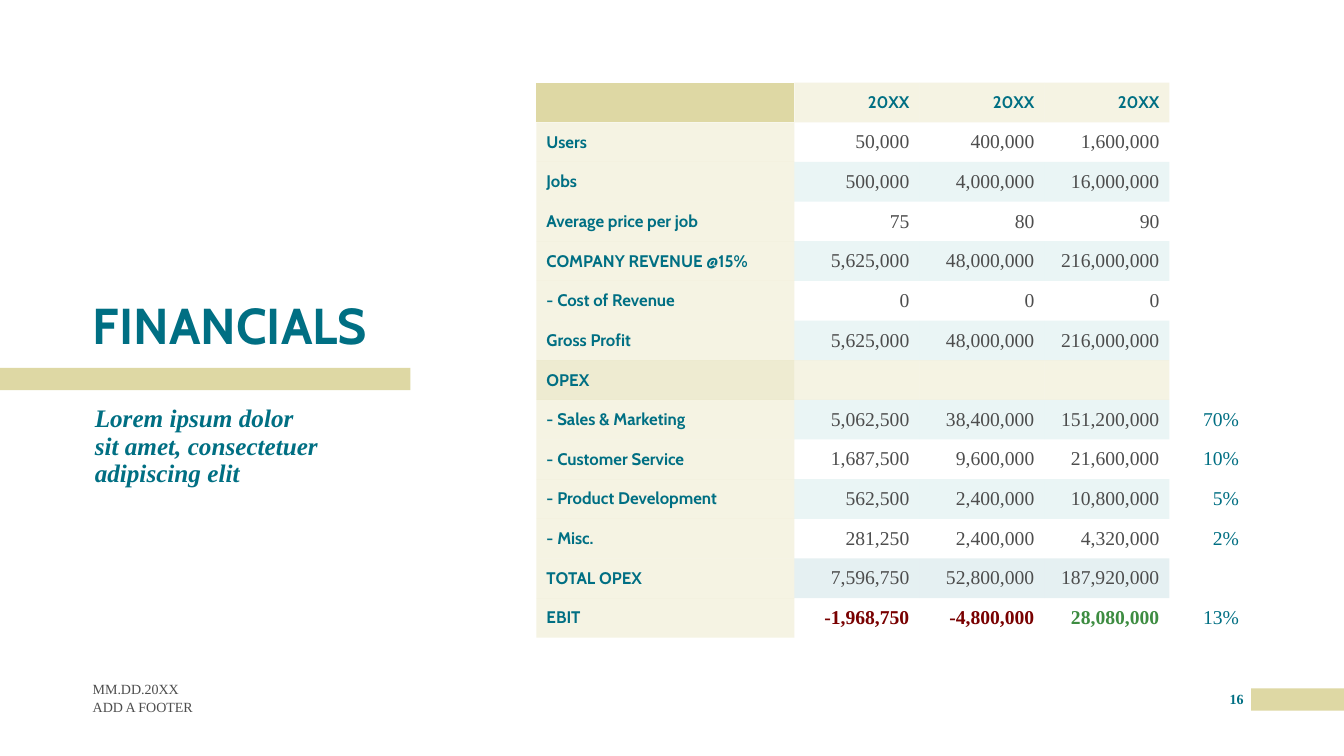
from lxml import etree
from pptx import Presentation
from pptx.dml.color import RGBColor
from pptx.enum import shapes, text
from pptx.oxml.ns import qn
from pptx.util import Inches, Pt

HEAD, BODY = "Cabin", "Times New Roman"
TEAL, SAND, GREY = "006F83", "DED8A4", "4D4D4D"
AQUA, RED, GREEN = "32A1A6", "790000", "3D8C41"
NO_GRID = "{2D5ABB26-0587-4C30-8999-92F81FD0307C}"
LEFT, CENTER, RIGHT = text.PP_ALIGN.LEFT, text.PP_ALIGN.CENTER, text.PP_ALIGN.RIGHT
TOP, MIDDLE, BOTTOM = text.MSO_ANCHOR.TOP, text.MSO_ANCHOR.MIDDLE, text.MSO_ANCHOR.BOTTOM

COLUMNS = [2.56, 1.24, 1.24, 1.24, 0.79]
ROWS = [
    ["", "20XX", "20XX", "20XX", ""],
    ["Users", "50,000", "400,000", "1,600,000", ""],
    ["Jobs", "500,000", "4,000,000", "16,000,000", ""],
    ["Average price per job", "75", "80", "90", ""],
    ["COMPANY REVENUE @15%", "5,625,000", "48,000,000", "216,000,000", ""],
    ["- Cost of Revenue", "0", "0", "0", ""],
    ["Gross Profit", "5,625,000", "48,000,000", "216,000,000", ""],
    ["OPEX", "", "", "", ""],
    ["- Sales & Marketing", "5,062,500", "38,400,000", "151,200,000", "70%"],
    ["- Customer Service", "1,687,500", "9,600,000", "21,600,000", "10%"],
    ["- Product Development", "562,500", "2,400,000", "10,800,000", "5%"],
    ["- Misc.", "281,250", "2,400,000", "4,320,000", "2%"],
    ["TOTAL OPEX", "7,596,750", "52,800,000", "187,920,000", ""],
    ["EBIT", "-1,968,750", "-4,800,000", "28,080,000", "13%"],
]
OPEX, TOTAL, EBIT = 7, 12, 13


def rgb(color):
    return RGBColor.from_string(color)


def add_run(p, words, size, font, color, bold=False, italic=False):
    r = p.add_run()
    r.text = words
    r.font.size = Pt(size)
    r.font.name = font
    r.font.color.rgb = rgb(color)
    r.font.bold = bold
    r.font.italic = italic


def set_frame(tf, anchor):
    tf.margin_left = tf.margin_top = tf.margin_right = tf.margin_bottom = 0
    tf.word_wrap = True
    tf.auto_size = text.MSO_AUTO_SIZE.NONE
    tf.vertical_anchor = anchor


def add_text(s, box, words, size, color, anchor=TOP, align=LEFT, **style):
    tf = s.shapes.add_textbox(*map(Inches, box)).text_frame
    set_frame(tf, anchor)
    p = tf.paragraphs[0]
    p.alignment = align
    add_run(p, words, size, BODY, color, **style)
    return p


def add_bar(s, box):
    sp = s.shapes.add_shape(shapes.MSO_SHAPE.RECTANGLE, *map(Inches, box))
    sp.shadow.inherit = False
    sp.fill.solid()
    sp.fill.fore_color.rgb = rgb(SAND)
    sp.line.fill.background()


def add_heading(s, x, y, w):
    title = s.shapes.title
    title.left, title.top = Inches(x), Inches(y)
    title.width, title.height = Inches(w), Inches(1.45)
    set_frame(title.text_frame, BOTTOM)
    p = title.text_frame.paragraphs[0]
    p.alignment = LEFT
    p.line_spacing = 0.9
    add_run(p, "FINANCIALS", 36, HEAD, TEAL, bold=True)
    add_bar(s, (0, y + 1.57, 4.07, 0.22))
    p = add_text(s, (x + 0.02, y + 1.95, 2.23, 1.9),
                 "Lorem ipsum dolor sit amet, consectetuer adipiscing elit",
                 18, TEAL, bold=True, italic=True)
    p.line_spacing = 0.9
    p.space_before = Pt(10)


def cell_fill(row, col):
    if col == 4:
        return None
    if col == 0:
        return SAND, {0: 100, OPEX: 50}.get(row, 30)
    if row in (0, OPEX):
        return SAND, 30
    if row == TOTAL:
        return TEAL, 10
    return (AQUA, 10) if row % 2 == 0 else None


def cell_style(row, col, words):
    if row == 0 or col == 0:
        return 12, HEAD, TEAL, True
    if col == 4:
        return 14, BODY, TEAL, False
    if row == EBIT:
        return 14, BODY, RED if words.startswith("-") else GREEN, True
    return 14, BODY, GREY, False


def paint_cell(cell, paint):
    if paint is None:
        cell.fill.background()
        return
    color, opacity = paint
    cell.fill.solid()
    cell.fill.fore_color.rgb = rgb(color)
    if opacity < 100:
        tint = cell._tc.tcPr.find(".//" + qn("a:srgbClr"))
        etree.SubElement(tint, qn("a:alpha")).set("val", str(opacity * 1000))


def add_financials(s, x, y, w, h):
    frame = s.shapes.add_table(len(ROWS), len(COLUMNS), *map(Inches, (x, y, w, h)))
    table = frame.table
    table.first_row = table.horz_banding = False
    table._tbl.tblPr.find(qn("a:tableStyleId")).text = NO_GRID
    for column, width in zip(table.columns, COLUMNS):
        column.width = Inches(width)
    for row, values in enumerate(ROWS):
        table.rows[row].height = Inches(h / len(ROWS))
        for col, words in enumerate(values):
            cell = table.cell(row, col)
            cell.vertical_anchor = MIDDLE
            cell.margin_top = cell.margin_bottom = Inches(0.03)
            paint_cell(cell, cell_fill(row, col))
            if words:
                p = cell.text_frame.paragraphs[0]
                p.alignment = RIGHT if col else LEFT
                add_run(p, words, *cell_style(row, col, words))


def add_footer(s, x, y):
    add_text(s, (x, y, 3, 0.25), "MM.DD.20XX", 10, GREY, anchor=BOTTOM)
    add_text(s, (x, y + 0.26, 3, 0.25), "ADD A FOOTER", 10, GREY)
    add_text(s, (12.12, y + 0.18, 0.29, 0.25), "16", 10, TEAL, align=CENTER, bold=True)
    add_bar(s, (12.41, y + 0.16, 0.92, 0.22))


def main():
    prs = Presentation()
    prs.slide_width, prs.slide_height = Inches(13.33), Inches(7.5)
    s = prs.slides.add_slide(prs.slide_layouts[5])
    add_heading(s, 0.92, 2.08, 4.84)
    add_financials(s, 5.32, 0.82, sum(COLUMNS), 5.51)
    add_footer(s, 0.92, 6.67)
    prs.save("out.pptx")


if __name__ == "__main__":
    main()
